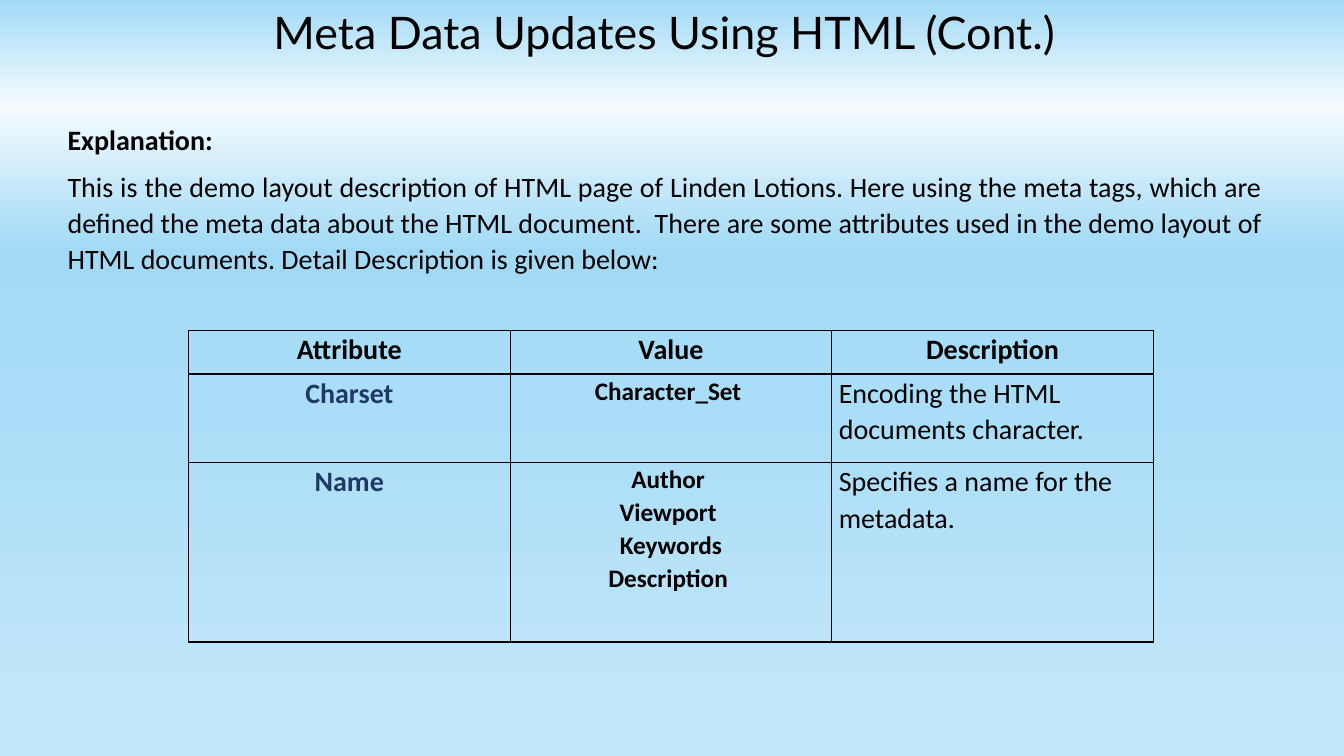
"""Builds the slide on HTML meta data with its attribute table."""
from dataclasses import dataclass

from lxml.etree import SubElement
from pptx import Presentation
from pptx.dml.color import RGBColor
from pptx.enum.text import MSO_ANCHOR as Anchor, PP_ALIGN as Align
from pptx.oxml.ns import qn
from pptx.util import Inches, Pt

TITLE = "Meta Data Updates Using HTML (Cont.)"
HEADING = "Explanation:"
EXPLANATION = (
    "This is the demo layout description of HTML page of Linden Lotions. "
    "Here using the meta tags, which are defined the meta data about the HTML document.  "
    "There are some attributes used in the demo layout of HTML documents. "
    "Detail Description is given below: "
)
HEADERS = ("Attribute", "Value", "Description")
ATTRIBUTES = [
    ("Charset", ["Character_Set "], "Encoding the HTML documents character."),
    ("Name", ["Author ", "Viewport ", "Keywords", "Description "],
     "Specifies a name for the metadata."),
]
ROW_HEIGHTS = (0.43, 0.88, 1.78)
COLUMN_WIDTH = 3.19
TABLE_LEFT, TABLE_TOP = 1.87, 3.28
SKY_STOPS = [(0, "A2DAF6"), (14, "F5FBFE"), (33, "A2DAF6"), (54, "AADDF7"), (92, "C1E6F9")]


@dataclass(frozen=True)
class Theme:
    """Colours, fonts and type sizes of the slide."""
    ink: str = "000000"
    accent: str = "203864"
    title_font: str = "Lato"
    body_font: str = "Calibri"
    title_size: int = 32
    text_size: int = 20
    value_size: int = 18
    line_spacing: float = 1.07
    border_width: int = 1


THEME = Theme()


def paint_sky(page):
    """Fill the background with the vertical sky gradient."""
    fill = page.background.fill
    fill.gradient()
    fill.gradient_angle = 270
    stops = page.element.find(".//" + qn("a:gsLst"))
    for stop in list(stops):
        stops.remove(stop)
    for position, color in SKY_STOPS:
        stop = SubElement(stops, qn("a:gs"), pos=str(position * 1000))
        SubElement(stop, qn("a:srgbClr"), val=color)


def place(box, left, top, width, height):
    """Move and size a box, given inches."""
    box.left, box.top = Inches(left), Inches(top)
    box.width, box.height = Inches(width), Inches(height)


def write(para, text, size=THEME.text_size, bold=False, color=THEME.ink,
          font=THEME.body_font, align=Align.LEFT):
    """Add one formatted run to a paragraph."""
    para.alignment = align
    span = para.add_run()
    span.text = text
    span.font.name, span.font.size, span.font.bold = font, Pt(size), bold
    span.font.color.rgb = RGBColor.from_string(color)


def add_title(page):
    """Write the slide title."""
    box = page.shapes.title
    place(box, 0.39, 0, 12.4, 0.64)
    box.text_frame.vertical_anchor = Anchor.TOP
    write(box.text_frame.paragraphs[0], TITLE, THEME.title_size,
          font=THEME.title_font, align=Align.CENTER)


def add_explanation(page):
    """Write the heading and the explanation without bullets."""
    box = page.placeholders[1]
    place(box, 0.57, 1.14, 12.05, 1.64)
    frame = box.text_frame
    heading, body = frame.paragraphs[0], frame.add_paragraph()
    for para in (heading, body):
        para.line_spacing = THEME.line_spacing
        para.space_before, para.space_after = Pt(0), Pt(8)
        properties = para._p.get_or_add_pPr()
        properties.set("marL", "0")
        properties.set("indent", "0")
        SubElement(properties, qn("a:buNone"))
    write(heading, HEADING, bold=True)
    write(body, EXPLANATION, align=Align.JUSTIFY)


def fill_cell(cell, lines, **style):
    """Outline a clear cell and write its lines."""
    cell.margin_left = cell.margin_right = Inches(0.07)
    cell.margin_top = cell.margin_bottom = 0
    properties = cell._tc.get_or_add_tcPr()
    for side in ("lnL", "lnR", "lnT", "lnB"):
        line = SubElement(properties, qn("a:" + side), w=str(Pt(THEME.border_width)))
        SubElement(SubElement(line, qn("a:solidFill")), qn("a:srgbClr"), val=THEME.ink)
    cell.fill.background()
    frame = cell.text_frame
    for index, text in enumerate(lines):
        para = frame.add_paragraph() if index else frame.paragraphs[0]
        para.line_spacing = THEME.line_spacing
        write(para, text, **style)


def add_attributes(page):
    """Add the table of meta attributes."""
    table = page.shapes.add_table(
        len(ROW_HEIGHTS), len(HEADERS), Inches(TABLE_LEFT), Inches(TABLE_TOP),
        Inches(COLUMN_WIDTH * len(HEADERS)), Inches(sum(ROW_HEIGHTS))).table
    table.first_row = table.horz_banding = False
    for column in table.columns:
        column.width = Inches(COLUMN_WIDTH)
    for row, height in zip(table.rows, ROW_HEIGHTS):
        row.height = Inches(height)
    strong = {"bold": True, "align": Align.CENTER}
    for column, header in enumerate(HEADERS):
        fill_cell(table.cell(0, column), [header], **strong)
    for row, (name, values, description) in enumerate(ATTRIBUTES, 1):
        fill_cell(table.cell(row, 0), [name], color=THEME.accent, **strong)
        fill_cell(table.cell(row, 1), values, size=THEME.value_size, **strong)
        fill_cell(table.cell(row, 2), [description])


def main():
    """Build and save the deck."""
    deck = Presentation()
    deck.slide_width, deck.slide_height = Inches(13.33), Inches(7.5)
    page = deck.slides.add_slide(deck.slide_layouts[1])
    paint_sky(page)
    add_title(page)
    add_explanation(page)
    add_attributes(page)
    deck.save("out.pptx")


if __name__ == "__main__":
    main()
